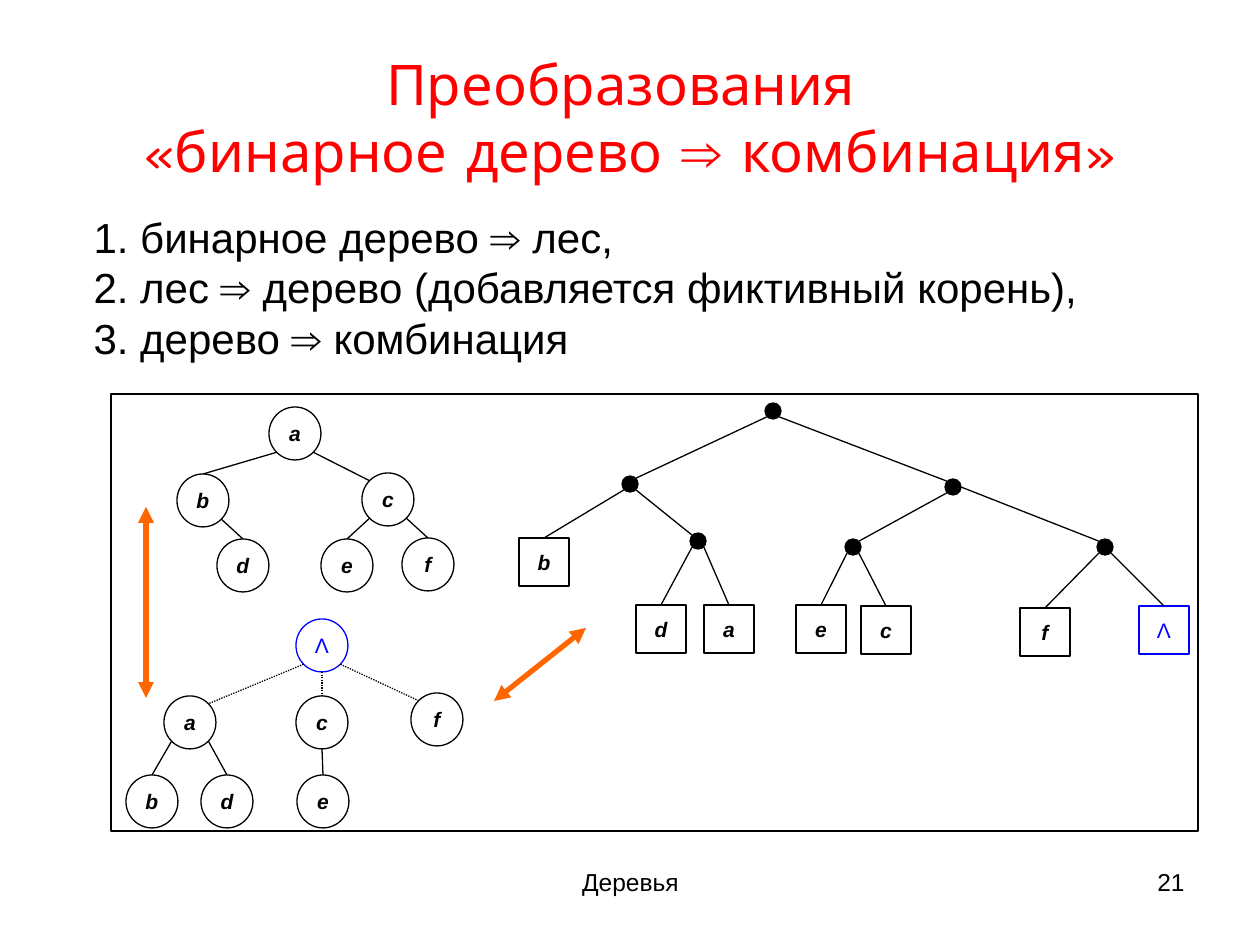
import dataclasses

import lxml.etree
import pptx
import pptx.dml.color
import pptx.enum.dml
import pptx.enum.shapes
import pptx.enum.text
import pptx.oxml.ns
import pptx.util


@dataclasses.dataclass
class Theme:
    red = pptx.dml.color.RGBColor.from_string("FF0000")
    black = pptx.dml.color.RGBColor.from_string("000000")
    white = pptx.dml.color.RGBColor.from_string("FFFFFF")
    blue = pptx.dml.color.RGBColor.from_string("0000FF")
    orange = pptx.dml.color.RGBColor.from_string("FF6600")
    title_font = "Comic Neue"
    text_font = "Arial"
    title_size = pptx.util.Pt(32)
    list_size = pptx.util.Pt(24)
    footer_size = pptx.util.Pt(14)
    label_size = pptx.util.Pt(12)
    thin = pptx.util.Pt(0.75)
    thick = pptx.util.Pt(3)


theme = Theme()
PX = 914400 / 126
ALIGN = pptx.enum.text.PP_ALIGN
ANCHOR = pptx.enum.text.MSO_ANCHOR
SHAPE = pptx.enum.shapes.MSO_SHAPE
qn = pptx.oxml.ns.qn


def add_run(paragraph, text, size, color, font=theme.text_font, emphasis=False):
    run = paragraph.add_run()
    run.text = text
    run.font.name = font
    run.font.size = size
    run.font.color.rgb = color
    run.font.bold = emphasis
    run.font.italic = emphasis


def add_line(start, end, color, width):
    connector = slide.shapes.add_connector(
        pptx.enum.shapes.MSO_CONNECTOR.STRAIGHT, *[round(value) for value in (*start, *end)]
    )
    connector.line.color.rgb = color
    connector.line.width = width
    lxml.etree.SubElement(connector._element.spPr, qn("a:effectLst"))
    return connector


presentation = pptx.Presentation()
presentation.slide_width = round(1260 * PX)
presentation.slide_height = round(945 * PX)
slide = presentation.slides.add_slide(presentation.slide_layouts[1])

title = slide.shapes.title
body = slide.placeholders[1]
for shape, box in ((title, (63, 38, 1134, 157)), (body, (81, 205, 1094, 164))):
    shape.left, shape.top, shape.width, shape.height = [round(value * PX) for value in box]

title.text_frame.auto_size = pptx.enum.text.MSO_AUTO_SIZE.NONE
title.text_frame.vertical_anchor = ANCHOR.MIDDLE
paragraph = title.text_frame.paragraphs[0]
paragraph.alignment = ALIGN.CENTER
add_run(paragraph, "Преобразования ", theme.title_size, theme.red, theme.title_font)
paragraph.add_line_break()
add_run(paragraph, "«бинарное дерево ", theme.title_size, theme.red, theme.title_font)
add_run(paragraph, "⇒", theme.title_size, theme.red)
add_run(paragraph, " комбинация»", theme.title_size, theme.red, theme.title_font)

body.text_frame.auto_size = pptx.enum.text.MSO_AUTO_SIZE.SHAPE_TO_FIT_TEXT
steps = (
    "1. бинарное дерево ⇒ лес,",
    "2. лес ⇒ дерево (добавляется фиктивный корень),",
    "3. дерево ⇒ комбинация",
)
for index, step in enumerate(steps):
    paragraph = body.text_frame.add_paragraph() if index else body.text_frame.paragraphs[0]
    paragraph.space_before = pptx.util.Pt(0)
    properties = paragraph._p.get_or_add_pPr()
    properties.set("marL", "0")
    properties.set("indent", "0")
    lxml.etree.SubElement(properties, qn("a:buNone"))
    add_run(paragraph, step, theme.list_size, theme.black)

for text, left, width, alignment in (
    ("Деревья", 431, 399, ALIGN.CENTER),
    ("21", 903, 294, ALIGN.RIGHT),
):
    footer = slide.shapes.add_textbox(*[round(value * PX) for value in (left, 861, width, 66)])
    footer.text_frame.word_wrap = True
    paragraph = footer.text_frame.paragraphs[0]
    paragraph.alignment = alignment
    add_run(paragraph, text, theme.footer_size, theme.black)

frame = slide.shapes.add_shape(
    SHAPE.RECTANGLE, *[round(value * PX) for value in (111, 394, 1087, 437)]
)
frame.shadow.inherit = False
frame.fill.background()
frame.line.color.rgb = theme.black
frame.line.width = theme.thin

kinds = {
    "circle": (SHAPE.OVAL, 52, 53, theme.white),
    "square": (SHAPE.RECTANGLE, 50, 48, theme.white),
    "dot": (SHAPE.OVAL, 16, 16, theme.black),
}
nodes = {
    "binary a": ("circle", 269, 407, "a"),
    "binary b": ("circle", 177, 474, "b"),
    "binary c": ("circle", 362, 473, "c"),
    "binary d": ("circle", 217, 539, "d"),
    "binary e": ("circle", 321, 539, "e"),
    "binary f": ("circle", 402, 538, "f"),
    "forest root": ("circle", 296, 619, "Λ"),
    "forest a": ("circle", 164, 696, "a"),
    "forest c": ("circle", 296, 696, "c"),
    "forest f": ("circle", 411, 693, "f"),
    "forest b": ("circle", 126, 775, "b"),
    "forest d": ("circle", 201, 775, "d"),
    "forest e": ("circle", 297, 775, "e"),
    "top": ("dot", 765, 403, ""),
    "left": ("dot", 622, 476, ""),
    "left inner": ("dot", 690, 533, ""),
    "right": ("dot", 945, 479, ""),
    "right inner": ("dot", 845, 539, ""),
    "right outer": ("dot", 1097, 539, ""),
    "leaf b": ("square", 519, 538, "b"),
    "leaf d": ("square", 636, 605, "d"),
    "leaf a": ("square", 704, 605, "a"),
    "leaf e": ("square", 796, 605, "e"),
    "leaf c": ("square", 861, 606, "c"),
    "leaf f": ("square", 1020, 608, "f"),
    "leaf Λ": ("square", 1139, 606, "Λ"),
}
node_shapes = {}
for name, (kind, left, top, label) in nodes.items():
    preset, width, height, fill = kinds[kind]
    color = theme.blue if label == "Λ" else theme.black
    shape = slide.shapes.add_shape(
        preset, *[round(value * PX) for value in (left, top, width, height)]
    )
    shape.shadow.inherit = False
    shape.fill.solid()
    shape.fill.fore_color.rgb = fill
    shape.line.color.rgb = color
    shape.line.width = theme.thin
    node_shapes[name] = shape
    if label:
        text_frame = shape.text_frame
        text_frame.margin_left = text_frame.margin_right = 0
        text_frame.margin_top = text_frame.margin_bottom = 0
        text_frame.vertical_anchor = ANCHOR.MIDDLE
        paragraph = text_frame.paragraphs[0]
        paragraph.alignment = ALIGN.CENTER
        add_run(paragraph, label, theme.label_size, color, emphasis=label != "Λ")

sites = {
    "top": (0, -1), "bottom": (0, 1), "right": (1, 0),
    "top left": (-0.71, -0.71), "top right": (0.71, -0.71),
    "bottom left": (-0.71, 0.71), "bottom right": (0.71, 0.71),
}
edges = (
    ("binary a", "bottom left", "binary b", "top"),
    ("binary a", "bottom right", "binary c", "top left"),
    ("binary b", "bottom right", "binary d", "top"),
    ("binary c", "bottom left", "binary e", "top"),
    ("binary c", "bottom right", "binary f", "top"),
    ("forest root", "bottom left", "forest a", "top right"),
    ("forest root", "bottom", "forest c", "top"),
    ("forest root", "bottom right", "forest f", "top left"),
    ("forest a", "bottom left", "forest b", "top"),
    ("forest a", "bottom right", "forest d", "top"),
    ("forest c", "bottom", "forest e", "top"),
    ("top", "bottom left", "left", "top right"),
    ("top", "bottom right", "right", "top left"),
    ("left", "bottom left", "leaf b", "top"),
    ("left", "bottom right", "left inner", "top left"),
    ("left inner", "bottom left", "leaf d", "top"),
    ("left inner", "bottom right", "leaf a", "top"),
    ("right", "bottom left", "right inner", "top right"),
    ("right", "right", "right outer", "top left"),
    ("right inner", "bottom left", "leaf e", "top"),
    ("right inner", "bottom right", "leaf c", "top"),
    ("right outer", "bottom left", "leaf f", "top"),
    ("right outer", "bottom right", "leaf Λ", "top"),
)
for parent, parent_site, child, child_site in edges:
    points = []
    for name, site in ((parent, parent_site), (child, child_site)):
        shape = node_shapes[name]
        across, down = sites[site]
        points.append((
            shape.left + shape.width * (1 + across) / 2,
            shape.top + shape.height * (1 + down) / 2,
        ))
    connector = add_line(*points, theme.black, theme.thin)
    if parent == "forest root":
        connector.line.dash_style = pptx.enum.dml.MSO_LINE.ROUND_DOT
    if child_site == "top":
        connector.end_connect(node_shapes[child], 0)

for start, end in (((146, 507), (146, 698)), ((494, 701), (586, 628))):
    arrow = add_line(
        [value * PX for value in start], [value * PX for value in end], theme.orange, theme.thick
    )
    for tip in ("a:headEnd", "a:tailEnd"):
        lxml.etree.SubElement(arrow._element.spPr.find(qn("a:ln")), qn(tip), type="triangle")

presentation.save("out.pptx")
